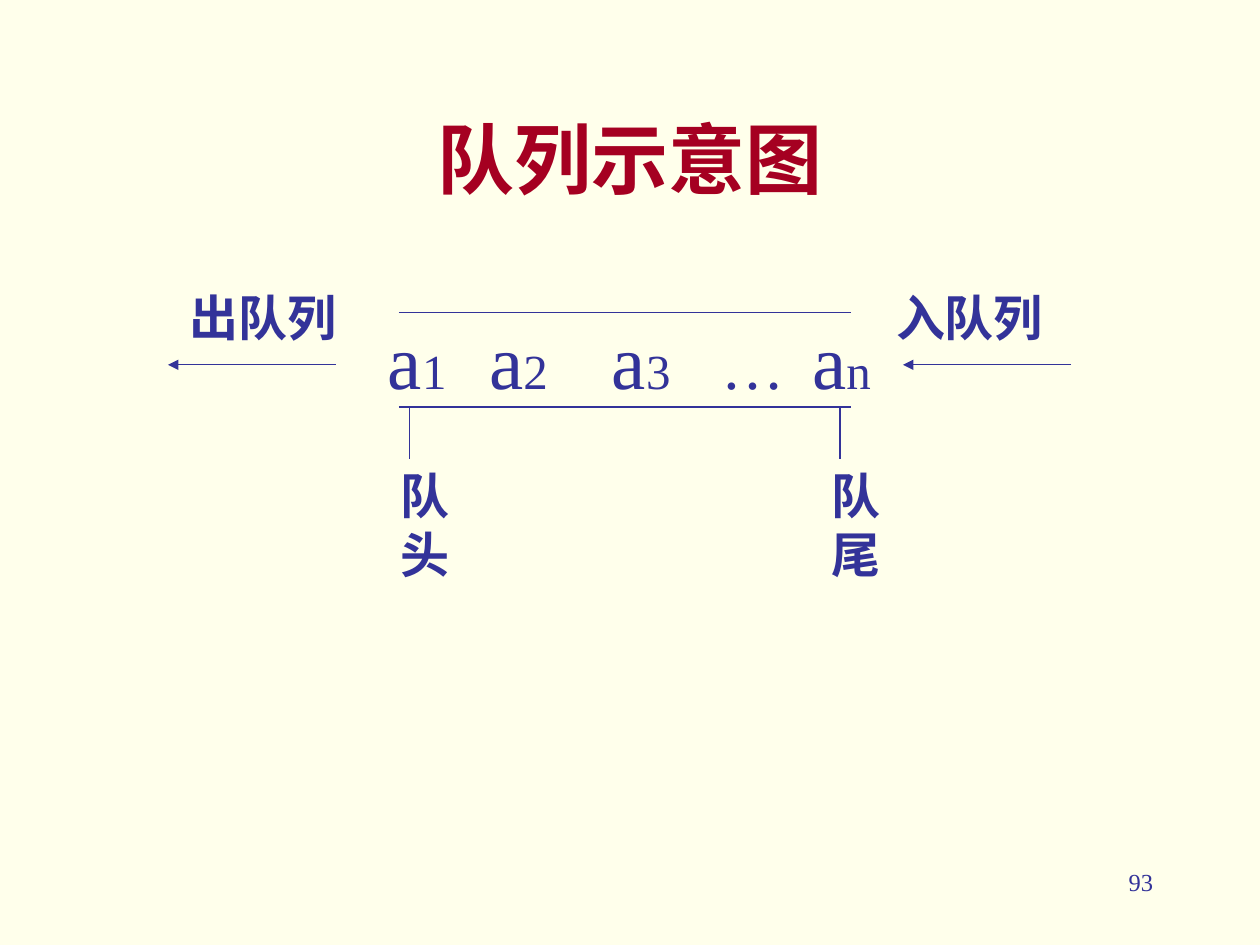
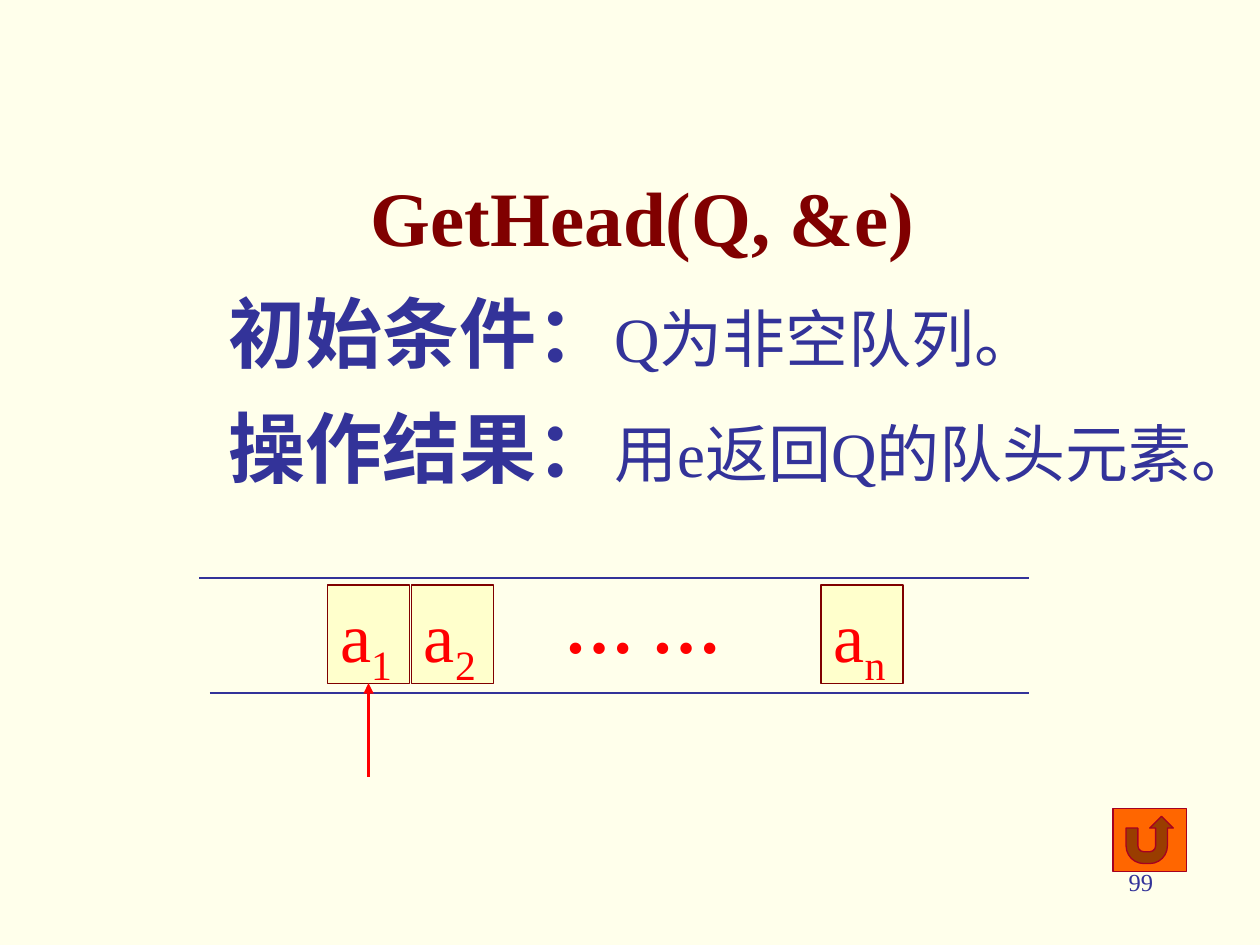
from lxml.etree import SubElement
from pptx import Presentation
from pptx.dml.color import RGBColor
from pptx.enum.shapes import MSO_CONNECTOR, MSO_SHAPE
from pptx.enum.text import MSO_ANCHOR, MSO_AUTO_SIZE as FIT, PP_ALIGN as ALIGN
from pptx.oxml.ns import qn
from pptx.util import Pt

IVORY = RGBColor(0xFF, 0xFF, 0xEB)
INDIGO = RGBColor(0x33, 0x33, 0x99)
CRIMSON = RGBColor(0xA5, 0x00, 0x21)
MAROON = RGBColor(0x80, 0x00, 0x00)
RED = RGBColor(0xFF, 0x00, 0x00)
CREAM = RGBColor(0xFF, 0xFF, 0xCC)
ORANGE = RGBColor(0xFF, 0x66, 0x00)
FONT = "Times New Roman"


def write(paragraph, color, *runs):
    """Add (text, size, bold) runs and return the last one."""
    for text, size, bold in runs:
        run = paragraph.add_run()
        run.text = text
        for attribute, value in {"name": FONT, "size": Pt(size), "bold": bold}.items():
            setattr(run.font, attribute, value)
        run.font.color.rgb = color
    return run


def draw_line(slide, x1, y1, x2, y2, color=INDIGO, width=0.75, arrow=False):
    line = slide.shapes.add_connector(
        MSO_CONNECTOR.STRAIGHT, Pt(x1), Pt(y1), Pt(x2), Pt(y2))
    line.line.color.rgb = color
    line.line.width = Pt(width)
    if arrow:
        SubElement(line.line._get_or_add_ln(), qn("a:tailEnd"), type="triangle")
    SubElement(line._element.spPr, qn("a:effectLst"))
    return line


prs = Presentation()
prs.slide_width, prs.slide_height = Pt(720), Pt(540)
master_fill = prs.slide_master.background.fill
master_fill.solid()
master_fill.fore_color.rgb = IVORY

# Shared frame: title position and page number
slides, titles = [], []
for page, title_box in (("93", (54, 66.2, 612, 47.5)),
                        ("99", (33.8, 90, 656, 185.8))):
    slide = prs.slides.add_slide(prs.slide_layouts[5])
    title = slide.shapes.title
    title.left, title.top, title.width, title.height = map(Pt, title_box)
    title.text_frame.auto_size = FIT.NONE
    title.text_frame.vertical_anchor = MSO_ANCHOR.MIDDLE
    number = slide.shapes.add_textbox(Pt(516), Pt(492), Pt(150), Pt(36)).text_frame
    number.word_wrap = True
    number.paragraphs[0].alignment = ALIGN.RIGHT
    write(number.paragraphs[0], INDIGO, (page, 14, False))
    slides.append(slide)
    titles.append(title.text_frame)
diagram, get_head = slides

# Queue diagram
heading = titles[0].paragraphs[0]
heading.alignment = ALIGN.CENTER
write(heading, CRIMSON, ("队列示意图", 44, True))

for y in (178.5, 232.5):
    draw_line(diagram, 228, y, 486, y)
for tick_x in (234, 480):
    draw_line(diagram, tick_x, 232.5, tick_x, 262.5)
for arrow_x in (192, 612):
    draw_line(diagram, arrow_x, 208.5, arrow_x - 96, 208.5, arrow=True)

queue = diagram.shapes.add_textbox(Pt(214.5), Pt(175), Pt(336), Pt(60)).text_frame
queue.word_wrap = True
elements = queue.paragraphs[0]
tabs = SubElement(elements._p.get_or_add_pPr(), qn("a:tabLst"))
for stop in (58, 128, 190.5, 242.5):
    SubElement(tabs, qn("a:tab"), pos=str(Pt(stop)), algn="l")
for index in "123":
    write(elements, INDIGO, ("a", 44, False), (index + "\t", 28, False))
write(elements, INDIGO, ("…\t", 36, False), ("a", 44, False), ("n", 28, False))

for label, left, top, width, height in (
        ("出队列", 101.5, 160.5, 114, 41), ("入队列", 505, 160.5, 114, 41),
        ("队头", 222, 262.5, 48, 74), ("队尾", 468, 262.5, 30, 74)):
    caption = diagram.shapes.add_textbox(
        Pt(left), Pt(top), Pt(width), Pt(height)).text_frame
    caption.word_wrap = True
    write(caption.paragraphs[0], INDIGO, (label, 28, True))

# GetHead operation
definition = titles[1]
for i, (indent, color, runs) in enumerate((
        (11, MAROON, [("GetHead(Q, &e)", 44, True)]),
        (0, INDIGO, [("初始条件：", 44, True), ("Q为非空队列。", 36, False)]),
        (88, INDIGO, [("操作结果：", 44, True), ("用e返回Q的队头元素。", 36, False)]))):
    paragraph = definition.add_paragraph() if i else definition.paragraphs[0]
    paragraph.alignment = ALIGN.CENTER
    paragraph.line_spacing = 1.25
    paragraph.space_before = Pt(0)
    paragraph._p.get_or_add_pPr().set("indent", str(Pt(indent)))
    write(paragraph, color, *runs)

back = get_head.shapes.add_shape(
    MSO_SHAPE.ACTION_BUTTON_RETURN, Pt(636), Pt(462), Pt(42), Pt(36))
back.shadow.inherit = False
back.fill.solid()
back.fill.fore_color.rgb = ORANGE
back.line.color.rgb = CRIMSON
back.line.width = Pt(0.75)

for left, y in ((114, 330.25), (120, 396)):
    draw_line(get_head, left, y, 588, y)

cells = []
for index, left in (("1", 187.2), ("2", 235.2), ("n", 469.2)):
    cell = get_head.shapes.add_shape(
        MSO_SHAPE.RECTANGLE, Pt(left), Pt(334.2), Pt(46.8), Pt(56.2))
    cell.shadow.inherit = False
    cell.fill.solid()
    cell.fill.fore_color.rgb = CREAM
    cell.line.color.rgb = MAROON
    cell.line.width = Pt(0.75)
    frame = cell.text_frame
    frame.word_wrap = False
    frame.vertical_anchor = MSO_ANCHOR.TOP
    frame.paragraphs[0].alignment = ALIGN.LEFT
    subscript = write(frame.paragraphs[0], RED, ("a", 40, False), (index, 41, False))
    subscript._r.get_or_add_rPr().set("baseline", "-25000")
    cells.append(cell)

head_pointer = draw_line(get_head, 210.6, 444, 210.6, 390.4, RED, 2, arrow=True)
head_pointer.end_connect(cells[0], 2)

middle = get_head.shapes.add_textbox(Pt(315.5), Pt(330), Pt(104.5), Pt(55.5)).text_frame
middle.word_wrap = False
write(middle.paragraphs[0], RED, ("… …", 40, True))

prs.save("out.pptx")
